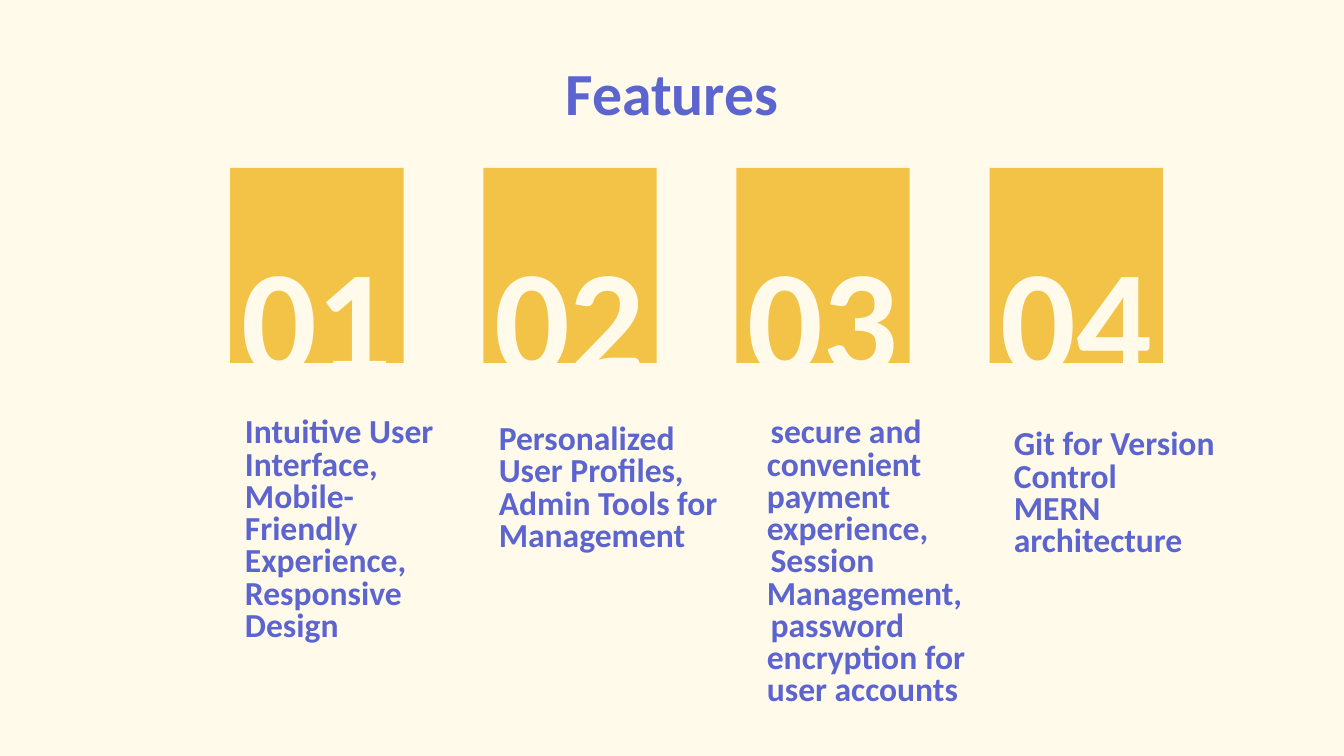
from pptx import Presentation
from pptx.dml.color import RGBColor
from pptx.enum.shapes import MSO_SHAPE
from pptx.enum.text import MSO_ANCHOR, MSO_AUTO_SIZE, PP_ALIGN
from pptx.util import Pt

RECTANGLE = MSO_SHAPE.RECTANGLE
TOP, BOTTOM = MSO_ANCHOR.TOP, MSO_ANCHOR.BOTTOM
LEFT, CENTER = PP_ALIGN.LEFT, PP_ALIGN.CENTER
NO_FIT = MSO_AUTO_SIZE.NONE

HEADING = "Features"
FEATURES = [
    {"items": ["Intuitive User Interface,", "Mobile-Friendly Experience,", "Responsive Design"],
     "box": (83.5, 216.7, 172.8, 162), "margin": 40.5, "first": 0},
    {"items": ["Personalized User Profiles,", "Admin Tools for Management"],
     "box": (224, 220.3, 172.8, 168.5), "margin": 36, "first": 0},
    {"items": ["secure and convenient payment experience,", "Session Management,",
               "password encryption for user accounts"],
     "box": (394.6, 216.7, 144.7, 206), "margin": 9, "first": 2},
    {"items": ["Git for Version Control", "MERN architecture"],
     "box": (513.4, 223.2, 162.7, 177), "margin": 22.5, "first": 0},
]
THEME = {
    "font": "Calibri",
    "background": RGBColor.from_string("FFFAEA"),
    "text": RGBColor.from_string("5C65CF"),
    "card": RGBColor.from_string("F3C347"),
    "heading_size": 32, "number_size": 80, "item_size": 18,
}
COMPARISON_LAYOUT = 4
CARD_LEFT, CARD_TOP, CARD_WIDTH, CARD_HEIGHT = 123.3, 90, 92.9, 104.4
CARD_STEP = 135.6
NUMBER_TOP, NUMBER_WIDTH, NUMBER_HEIGHT = 113, 162.7, 110.9
INSET = 7.2


def place(part, box):
    part.left, part.top, part.width, part.height = map(Pt, box)


def write(part, lines, size, color, align, anchor):
    frame = part.text_frame
    frame.word_wrap = True
    frame.auto_size = NO_FIT
    frame.vertical_anchor = anchor
    frame.margin_left = frame.margin_right = Pt(INSET)
    frame.margin_top = frame.margin_bottom = Pt(INSET)
    frame.text = "\n".join(lines)
    for paragraph in frame.paragraphs:
        paragraph.alignment = align
        paragraph.space_before = Pt(0)
        font = paragraph.font
        font.name, font.size, font.bold = THEME["font"], Pt(size), True
        font.color.rgb = color
    return frame.paragraphs


def unbullet(paragraph, margin, first):
    properties = paragraph._p.get_or_add_pPr()
    properties.set("marL", str(Pt(margin)))
    properties.set("indent", str(Pt(first)))
    bullet = properties.makeelement(
        "{http://schemas.openxmlformats.org/drawingml/2006/main}buNone", {})
    properties.insert_element_before(bullet, "a:tabLst", "a:defRPr", "a:extLst")


presentation = Presentation()
presentation.slide_width, presentation.slide_height = Pt(720), Pt(405)
slide = presentation.slides.add_slide(presentation.slide_layouts[COMPARISON_LAYOUT])
slide.background.fill.solid()
slide.background.fill.fore_color.rgb = THEME["background"]

heading = slide.shapes.title
place(heading, (56.2, 15.8, 607.7, 59.8))
write(heading, [HEADING], THEME["heading_size"], THEME["text"], CENTER, BOTTOM)

for index, feature in enumerate(FEATURES):
    description = slide.placeholders[index + 1]
    place(description, feature["box"])
    for item in write(description, feature["items"], THEME["item_size"],
                      THEME["text"], LEFT, TOP):
        item.line_spacing = 0.8
        unbullet(item, feature["margin"], feature["first"])

    card_left = CARD_LEFT + index * CARD_STEP
    card = slide.shapes.add_shape(
        RECTANGLE, Pt(card_left), Pt(CARD_TOP), Pt(CARD_WIDTH), Pt(CARD_HEIGHT))
    card.shadow.inherit = False
    card.fill.solid()
    card.fill.fore_color.rgb = THEME["card"]
    card.line.fill.background()

    number_left = card_left + (CARD_WIDTH - NUMBER_WIDTH) / 2
    number = slide.shapes.add_textbox(
        Pt(number_left), Pt(NUMBER_TOP), Pt(NUMBER_WIDTH), Pt(NUMBER_HEIGHT))
    write(number, [f"{index + 1:02d}"], THEME["number_size"],
          THEME["background"], CENTER, BOTTOM)

presentation.save("out.pptx")
